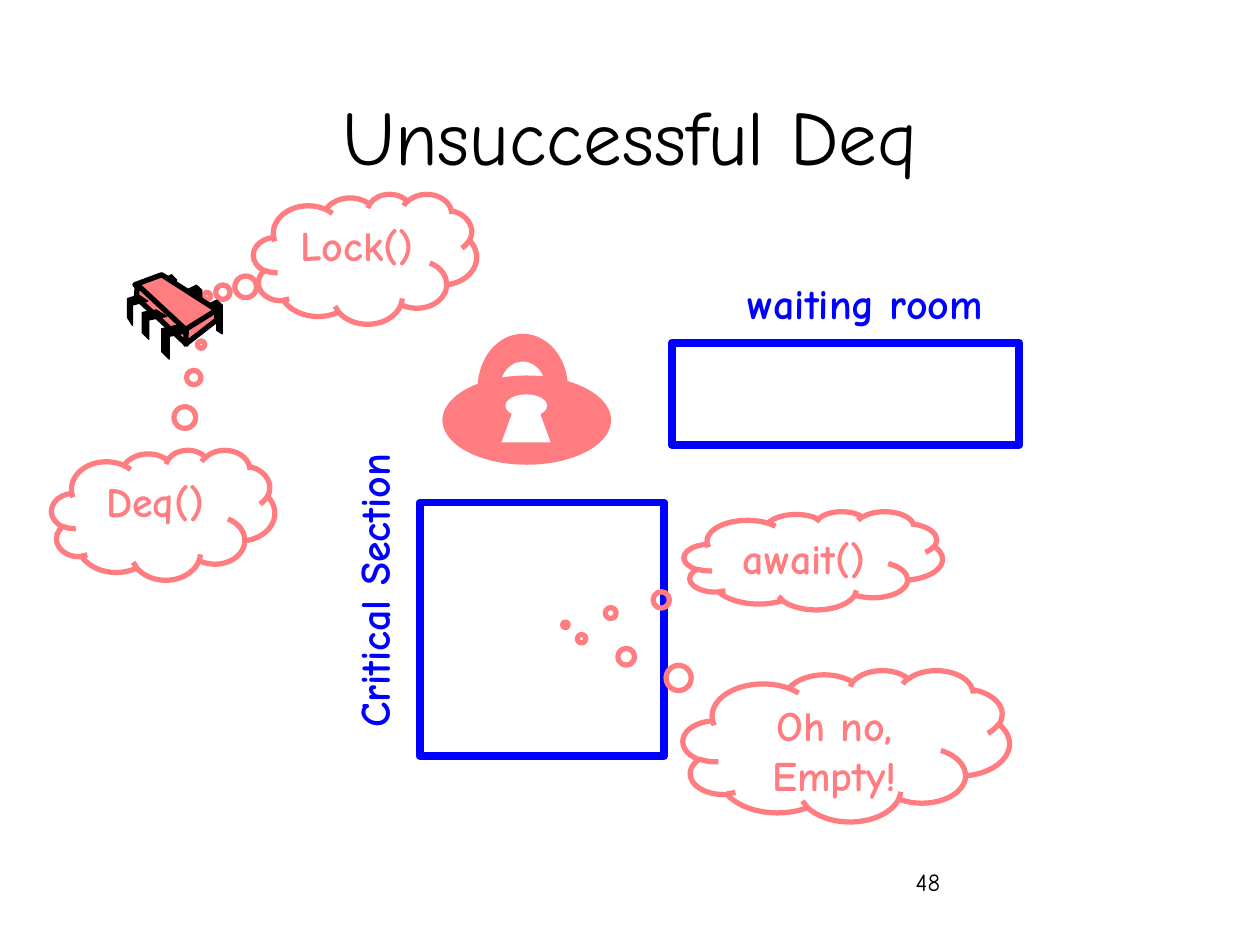
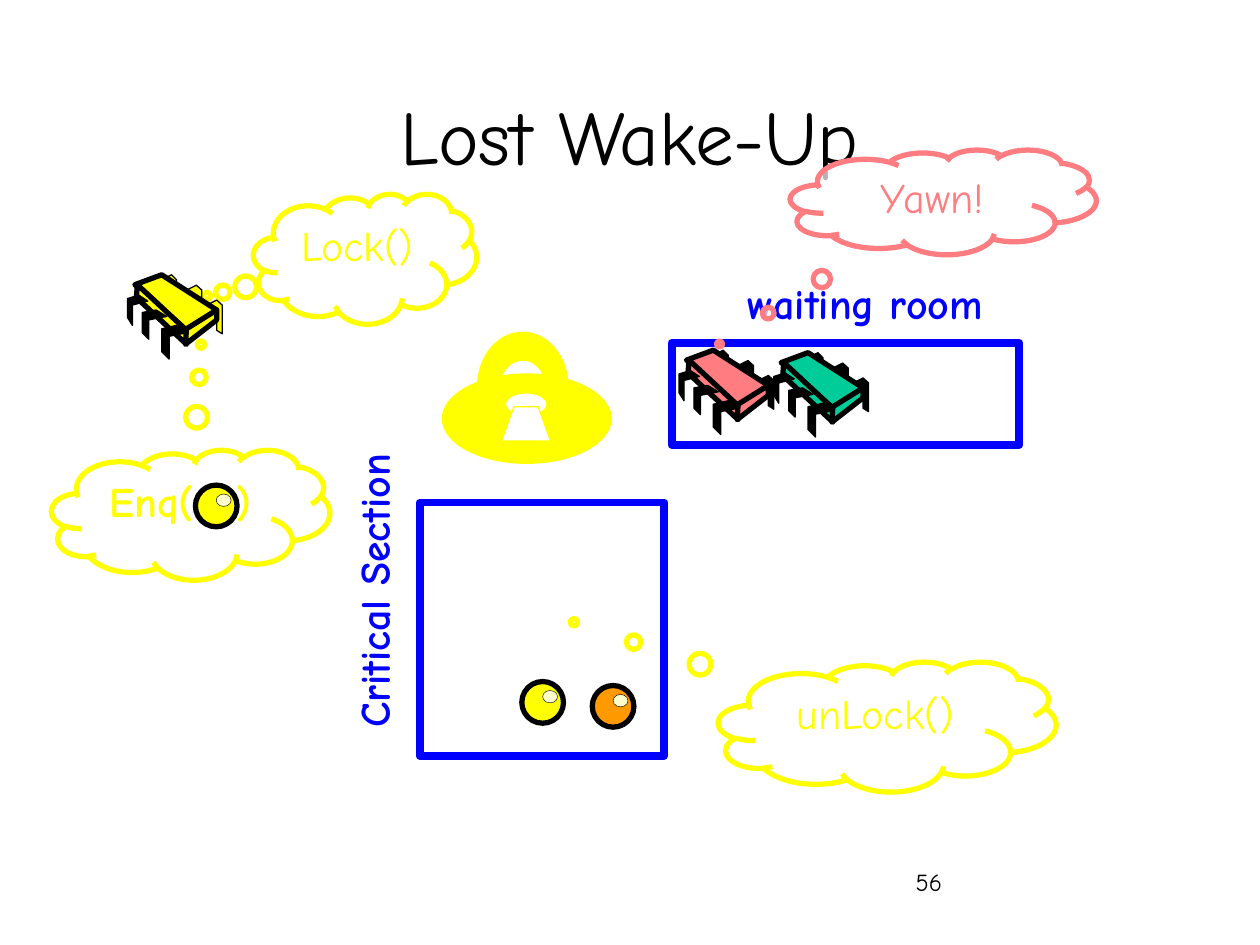
from dataclasses import dataclass
from math import cos, pi, sin

from lxml import etree
from pptx import Presentation
from pptx.dml.color import RGBColor
from pptx.enum import shapes, text
from pptx.oxml import ns
from pptx.util import Cm, Pt


@dataclass(frozen=True)
class Theme:
    font: str = "Comic Neue"
    black: str = "000000"
    white: str = "FFFFFF"
    blue: str = "0000FF"
    pink: str = "FF7C80"
    yellow: str = "FFFF00"
    green: str = "00CC99"
    orange: str = "FF9900"
    shine: str = "FFFFCC"
    title_size: int = 44
    label_size: int = 24
    number_size: int = 14
    frame_line: float = 4.5
    bold_line: float = 3
    thin_line: float = 0.75
    hair_line: float = 0.25


THEME = Theme()

# Content; boxes are (left, top, width, height) in cm.
TITLE_BOX = (1.9, 1.12, 21.6, 3.18)
NUMBER_BOX = (18.21, 17.35, 5.28, 1.27)
ROOMS = [  # name, frame, label box, label rotation
    ("Critical Section", (8.46, 10.13, 4.93, 5.11), (4.11, 11.68, 6.83, 1.27), 270),
    ("waiting room", (13.54, 6.91, 7.01, 2.06), (14.43, 5.46, 5.64, 1.27), 0),
]
LOCK_CLOUD = dict(words="Lock()", box=(5.11, 3.91, 4.5, 2.62), tail=(-0.708, 0.285))
SLIDES = [
    dict(
        title="Unsuccessful Deq", number="48", color=THEME.pink,
        lock_lift=0, lock_line=None, rear_legs=THEME.black,
        clouds=[
            LOCK_CLOUD | dict(bold=True),
            dict(words="await()", box=(13.79, 10.31, 5.21, 1.98), tail=(-0.959, 0.655), bold=True),
            dict(words="Deq()", box=(1.04, 9.07, 4.5, 2.62), tail=(0.17, -1.31), bold=True),
            dict(words="Oh no, Empty!", box=(13.77, 13.51, 6.58, 3.05), tail=(-0.811, -0.708), bold=True),
        ],
        waiting=[], balls=[],
    ),
    dict(
        title="Lost Wake-Up", number="56", color=THEME.yellow,
        lock_lift=0.03, lock_line=THEME.yellow, rear_legs=THEME.yellow,
        clouds=[
            LOCK_CLOUD,
            dict(words="Enq( )", box=(1.04, 9.07, 5.61, 2.62), tail=(0.037, -1.31), bold=True, gap=16),
            dict(words="unLock()", box=(14.48, 13.34, 6.81, 2.62), tail=(-0.927, -0.804)),
            dict(words="Yawn!", box=(15.93, 3.02, 6.17, 2.11), tail=(-0.731, 1.356),
                 color=THEME.pink, opacity=70),
        ],
        waiting=[(13.69, 7.06, THEME.pink), (15.6, 7.11, THEME.green)],
        balls=[(3.94, 9.78, THEME.yellow), (11.94, 13.82, THEME.orange), (10.52, 13.74, THEME.yellow)],
    ),
]

# Processor outlines, in cm from its upper left corner.
RUNNER_AT = (2.57, 5.54)
REAR_LEG = [(1.6, 0.61), (1.8, 0.51), (1.91, 0.61), (1.91, 1.19), (1.8, 1.12), (1.8, 0.71), (1.6, 0.81)]
REAR_LEGS = [
    REAR_LEG,
    [(x - 0.41, y - 0.3) for x, y in REAR_LEG],
    [(0.69, 0.1), (0.89, 0), (0.99, 0.1), (0.99, 0.61), (0.89, 0.53), (0.89, 0.18), (0.69, 0.25)],
]
BODY_FACES = [
    [(0.69, 0), (1.8, 0.71), (1.19, 1.12), (0.15, 0.2)],
    [(0.2, 0.2), (1.19, 1.12), (1.19, 1.4), (0.18, 0.46)],
    [(1.8, 0.71), (1.8, 0.91), (1.17, 1.4), (1.19, 1.09)],
]
FRONT_LEGS = [
    [(0.99, 1.02), (1.19, 1.17), (0.84, 1.24), (0.84, 1.7), (0.69, 1.55), (0.69, 1.09)],
    [(0.58, 0.71), (0.79, 0.84), (0.43, 0.91), (0.43, 1.3), (0.3, 1.17), (0.3, 0.76)],
    [(0.23, 0.41), (0.41, 0.53), (0.1, 0.61), (0.1, 1.02), (0, 0.86), (0, 0.48)],
]

# Padlock parts, in cm.
LOCK_BODY = (8.92, 7.57, 3.4, 1.8)
KEYHOLE = (10.19, 7.95, 0.84, 0.46)
KEY_SLOT = [(10.11, 8.92), (10.36, 8.23), (10.85, 8.23), (11.1, 8.92)]
SHACKLE_CENTER = (10.54, 7.82)
SHACKLE_OUTER, SHACKLE_INNER = (0.91, 1.09), (0.46, 0.53)

BALL_SIZE = 0.84
SHINE_BOX = (0.42, 0.18, 0.3, 0.25)


def cm(values):
    return [Cm(v) for v in values]


def paint(shape, fill=None, line=None, width=THEME.thin_line):
    shape.shadow.inherit = False
    if fill:
        shape.fill.solid()
        shape.fill.fore_color.rgb = RGBColor.from_string(fill)
    else:
        shape.fill.background()
    if line:
        shape.line.color.rgb = RGBColor.from_string(line)
        shape.line.width = Pt(width)
    else:
        shape.line.fill.background()
    return shape


def add_preset(parent, kind, box, **style):
    return paint(parent.shapes.add_shape(kind, *cm(box)), **style)


def add_outline(parent, points, origin=(0, 0), **style):
    """Draw a closed polygon whose points are in cm from the origin."""
    start, *rest = [cm((x + origin[0], y + origin[1])) for x, y in points]
    builder = parent.shapes.build_freeform(*start)
    builder.add_line_segments(rest, close=True)
    return paint(builder.convert_to_shape(), **style)


def write(frame, words, size, color, align=None, bold=False):
    paragraph = frame.paragraphs[0]
    paragraph.text = words
    paragraph.alignment = align
    font = paragraph.font
    font.name, font.size, font.bold = THEME.font, Pt(size), bold
    font.color.rgb = RGBColor.from_string(color)
    return paragraph


def add_label(slide, words, box, size, color, wrap=True, rotation=0, **style):
    label = slide.shapes.add_textbox(*cm(box))
    label.rotation = rotation
    label.text_frame.word_wrap = wrap
    write(label.text_frame, words, size, color, **style)


def add_room(slide, name, frame, label_box, rotation):
    add_preset(slide, shapes.MSO_SHAPE.RECTANGLE, frame, line=THEME.blue, width=THEME.frame_line)
    add_label(slide, name, label_box, THEME.label_size, THEME.blue, wrap=False,
              rotation=rotation, align=text.PP_ALIGN.RIGHT, bold=True)


def add_cloud(slide, words, box, tail, color, bold=False, gap=0, opacity=0):
    """Add a thought cloud; gap widens its blank by that many points."""
    cloud = add_preset(slide, shapes.MSO_SHAPE.CLOUD_CALLOUT, box,
                       fill=THEME.white if opacity else None, line=color, width=THEME.bold_line)
    for i, offset in enumerate(tail):
        cloud.adjustments[i] = offset
    if opacity:
        fill_color = cloud.fill._xPr.find(".//" + ns.qn("a:solidFill"))[0]
        etree.SubElement(fill_color, ns.qn("a:alpha"), val=str(opacity * 1000))
    frame = cloud.text_frame
    frame.word_wrap = True
    frame.vertical_anchor = text.MSO_ANCHOR.TOP
    before, blank, after = words.partition(" ") if gap else (words, "", "")
    paragraph = write(frame, before, THEME.label_size, color, text.PP_ALIGN.CENTER, bold)
    if gap:
        spacer = paragraph.add_run()
        spacer.text = blank
        spacer._r.get_or_add_rPr().set("spc", str(gap * 100))
        paragraph.add_run().text = after


def shackle_points(steps=32):
    """Trace the outer arch left to right, then the inner one back."""
    x, y = SHACKLE_CENTER
    angles = [pi - pi * i / steps for i in range(steps + 1)]
    arches = ((SHACKLE_OUTER, angles), (SHACKLE_INNER, angles[::-1]))
    return [(x + rx * cos(a), y - ry * sin(a)) for (rx, ry), turn in arches for a in turn]


def add_padlock(slide, color, line, lift):
    group = slide.shapes.add_group_shape()
    for (left, top, *size), fill in ((LOCK_BODY, color), (KEYHOLE, THEME.white)):
        add_preset(group, shapes.MSO_SHAPE.OVAL, (left, top - lift, *size), fill=fill, line=line)
    for points, fill in ((KEY_SLOT, THEME.white), (shackle_points(), color)):
        add_outline(group, points, (0, -lift), fill=fill, line=line)


def add_processor(slide, left, top, color, rear_color=THEME.black):
    group = slide.shapes.add_group_shape()
    layers = [
        (REAR_LEGS, rear_color, THEME.thin_line),
        (BODY_FACES, color, THEME.bold_line),
        (FRONT_LEGS, THEME.black, THEME.thin_line),
    ]
    for outlines, fill, width in layers:
        for points in outlines:
            add_outline(group, points, (left, top), fill=fill, line=THEME.black, width=width)


def add_ball(slide, left, top, color):
    group = slide.shapes.add_group_shape()
    dx, dy, *shine_size = SHINE_BOX
    oval = shapes.MSO_SHAPE.OVAL
    add_preset(group, oval, (left, top, BALL_SIZE, BALL_SIZE),
               fill=color, line=THEME.black, width=THEME.bold_line)
    add_preset(group, oval, (left + dx, top + dy, *shine_size),
               fill=THEME.shine, line=THEME.black, width=THEME.hair_line)


def add_title(slide, words):
    title = slide.shapes.title
    title.left, title.top, title.width, title.height = cm(TITLE_BOX)
    title.text_frame.vertical_anchor = text.MSO_ANCHOR.MIDDLE
    write(title.text_frame, words, THEME.title_size, THEME.black, text.PP_ALIGN.CENTER)


def build_slide(deck, content):
    slide = deck.slides.add_slide(deck.slide_layouts[5])
    color = content["color"]
    add_title(slide, content["title"])
    add_label(slide, content["number"], NUMBER_BOX, THEME.number_size, THEME.black)
    for room in ROOMS:
        add_room(slide, *room)
    add_padlock(slide, color, content["lock_line"], content["lock_lift"])
    for processor in content["waiting"]:
        add_processor(slide, *processor)
    for cloud in content["clouds"]:
        add_cloud(slide, **{"color": color, **cloud})
    for ball in content["balls"]:
        add_ball(slide, *ball)
    add_processor(slide, *RUNNER_AT, color, content["rear_legs"])


def main():
    deck = Presentation()
    deck.slide_width, deck.slide_height = cm((25.4, 19.05))
    for content in SLIDES:
        build_slide(deck, content)
    deck.save("out.pptx")


if __name__ == "__main__":
    main()
